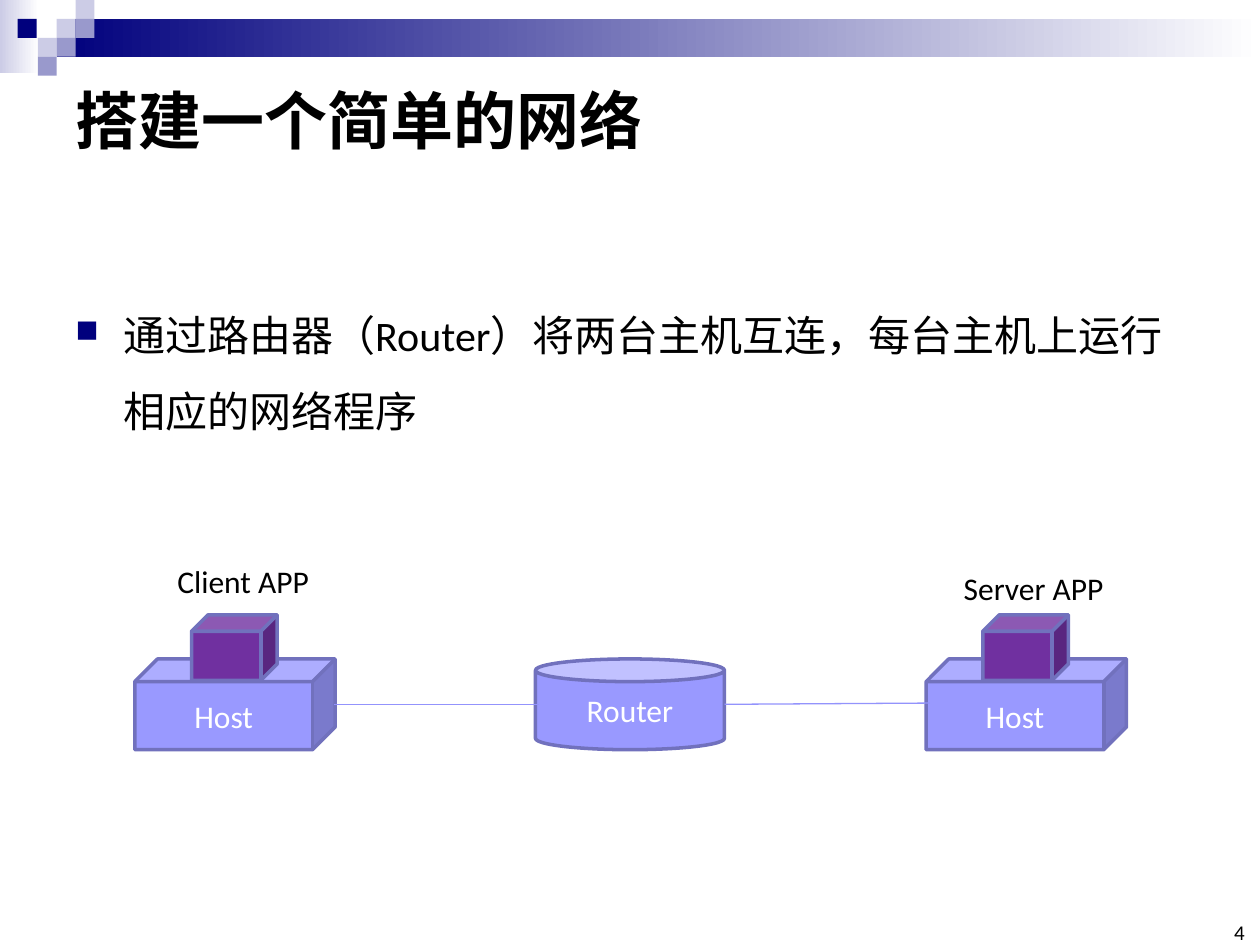
from dataclasses import dataclass

from lxml import etree
from pptx import Presentation
from pptx.dml.color import RGBColor
from pptx.enum.shapes import MSO_CONNECTOR, MSO_SHAPE
from pptx.enum.text import MSO_ANCHOR, PP_ALIGN
from pptx.oxml.ns import qn
from pptx.util import Inches, Pt

RECTANGLE, CUBE, CAN = MSO_SHAPE.RECTANGLE, MSO_SHAPE.CUBE, MSO_SHAPE.CAN
STRAIGHT = MSO_CONNECTOR.STRAIGHT
TOP, MIDDLE, BOTTOM = MSO_ANCHOR.TOP, MSO_ANCHOR.MIDDLE, MSO_ANCHOR.BOTTOM
LEFT, CENTER, RIGHT = PP_ALIGN.LEFT, PP_ALIGN.CENTER, PP_ALIGN.RIGHT


@dataclass(frozen=True)
class Theme:
    font: str = "Calibri"
    black: str = "000000"
    white: str = "FFFFFF"
    navy: str = "00007D"
    pale: str = "CCCCE6"
    mid: str = "9999CC"
    device: str = "9999FF"
    app: str = "7030A0"
    outline: str = "7171BD"
    link: str = "9393FC"
    title_size: int = 36
    body_size: int = 24
    label_size: int = 18
    number_size: int = 12


@dataclass(frozen=True)
class Box:
    left: float
    top: float
    width: float
    height: float

    def lengths(self):
        return [Inches(v) for v in (self.left, self.top, self.width, self.height)]


@dataclass(frozen=True)
class Host:
    left: float
    app_name: str
    label: Box


THEME = Theme()
TILE = 0.15
TILES = [
    (0.45, 0.15, THEME.pale), (0.6, 0, THEME.pale), (0.6, 0.15, THEME.mid),
    (0.3, 0.3, THEME.pale), (0.14, 0.15, THEME.navy), (0.45, 0.3, THEME.mid),
    (0.3, 0.45, THEME.mid),
]
DEVICE_TOP, DEVICE_HEIGHT, HOST_WIDTH = 5.23, 0.72, 1.59
APP_OFFSET = 0.45
HOSTS = [
    Host(1.07, "Client APP", Box(1.31, 4.41, 1.26, 0.4)),
    Host(7.35, "Server APP", Box(7.55, 4.47, 1.32, 0.4)),
]
LINKS = [(2.65, 5.59, 4.28, 5.59), (5.75, 5.59, 7.38, 5.58)]


def write_text(shape, text: str, *, size: int, color: str = THEME.black,
               bold: bool = False, align=LEFT, anchor=TOP, wrap: bool = True,
               inset: float | None = None):
    """Fill a shape with one formatted paragraph and return it."""
    frame = shape.text_frame
    frame.word_wrap = wrap
    frame.vertical_anchor = anchor
    if inset is not None:
        frame.margin_left = frame.margin_right = Inches(inset)
        frame.margin_top = frame.margin_bottom = Inches(inset)
    paragraph = frame.paragraphs[0]
    paragraph.alignment = align
    run = paragraph.add_run()
    run.text = text
    run.font.name = THEME.font
    run.font.size = Pt(size)
    run.font.bold = bold
    run.font.color.rgb = RGBColor.from_string(color)
    return paragraph


def add_text(slide, box: Box, text: str, **text_format):
    return write_text(slide.shapes.add_textbox(*box.lengths()), text, **text_format)


def add_block(slide, kind, box: Box, fill: str, outline: str | None = None,
              fade_to: str | None = None):
    """Add a preset shape with a solid fill or a left-to-right fade."""
    shape = slide.shapes.add_shape(kind, *box.lengths())
    shape.shadow.inherit = False
    if fade_to:
        shape.fill.gradient()
        shape.fill.gradient_angle = 0
        for stop, color in zip(shape.fill.gradient_stops, (fill, fade_to)):
            stop.color.rgb = RGBColor.from_string(color)
    else:
        shape.fill.solid()
        shape.fill.fore_color.rgb = RGBColor.from_string(fill)
    if outline:
        shape.line.color.rgb = RGBColor.from_string(outline)
        shape.line.width = Pt(2)
    else:
        shape.line.fill.background()
    return shape


def add_device(slide, kind, left: float, width: float, name: str) -> None:
    box = Box(left, DEVICE_TOP, width, DEVICE_HEIGHT)
    shape = add_block(slide, kind, box, THEME.device, THEME.outline)
    write_text(shape, name, size=THEME.label_size, color=THEME.white,
               align=CENTER, anchor=MIDDLE)


def add_link(slide, ends: tuple) -> None:
    connector = slide.shapes.add_connector(STRAIGHT, *[Inches(v) for v in ends])
    connector.line.color.rgb = RGBColor.from_string(THEME.link)
    connector.line.width = Pt(0.75)
    etree.SubElement(connector.element.spPr, qn("a:effectLst"))


def add_bullet(paragraph, character: str, color: str, percent: int, indent: float) -> None:
    properties = paragraph._p.get_or_add_pPr()
    properties.set("marL", str(Inches(indent)))
    properties.set("indent", str(-Inches(indent)))
    bullet_color = etree.SubElement(properties, qn("a:buClr"))
    etree.SubElement(bullet_color, qn("a:srgbClr"), val=color)
    etree.SubElement(properties, qn("a:buSzPct"), val=str(percent * 1000))
    etree.SubElement(properties, qn("a:buChar"), char=character)


def main() -> None:
    presentation = Presentation()
    presentation.slide_width, presentation.slide_height = Inches(10), Inches(7.5)
    slide = presentation.slides.add_slide(presentation.slide_layouts[6])

    # Header band and tiles
    add_block(slide, RECTANGLE, Box(0, 0, 0.31, 0.58), THEME.pale, fade_to=THEME.white)
    add_block(slide, RECTANGLE, Box(0.45, 0.15, 9.55, 0.3), THEME.navy, fade_to=THEME.white)
    for left, top, color in TILES:
        add_block(slide, RECTANGLE, Box(left, top, TILE, TILE), color)

    # Title and page number
    add_text(slide, Box(0.5, 0.5, 9, 0.89), "搭建一个简单的网络",
             size=THEME.title_size, bold=True, anchor=MIDDLE)
    add_text(slide, Box(9.65, 7.33, 0.23, 0.17), "4", size=THEME.number_size,
             align=RIGHT, anchor=BOTTOM, inset=0)

    # Network diagram
    add_device(slide, CAN, 4.25, 1.5, "Router")
    for host in HOSTS:
        add_device(slide, CUBE, host.left, HOST_WIDTH, "Host")
    for ends in LINKS:
        add_link(slide, ends)
    for host in HOSTS:
        add_block(slide, CUBE, Box(host.left + APP_OFFSET, 4.88, 0.68, 0.52),
                  THEME.app, THEME.outline)
        add_text(slide, host.label, host.app_name, size=THEME.label_size, wrap=False)

    # Body text
    body = add_text(slide, Box(0.5, 2.21, 9, 1.34),
                    "通过路由器（Router）将两台主机互连，每台主机上运行相应的网络程序",
                    size=THEME.body_size)
    body.line_spacing = 1.5
    add_bullet(body, "■", THEME.navy, percent=75, indent=0.38)

    presentation.save("out.pptx")


if __name__ == "__main__":
    main()
